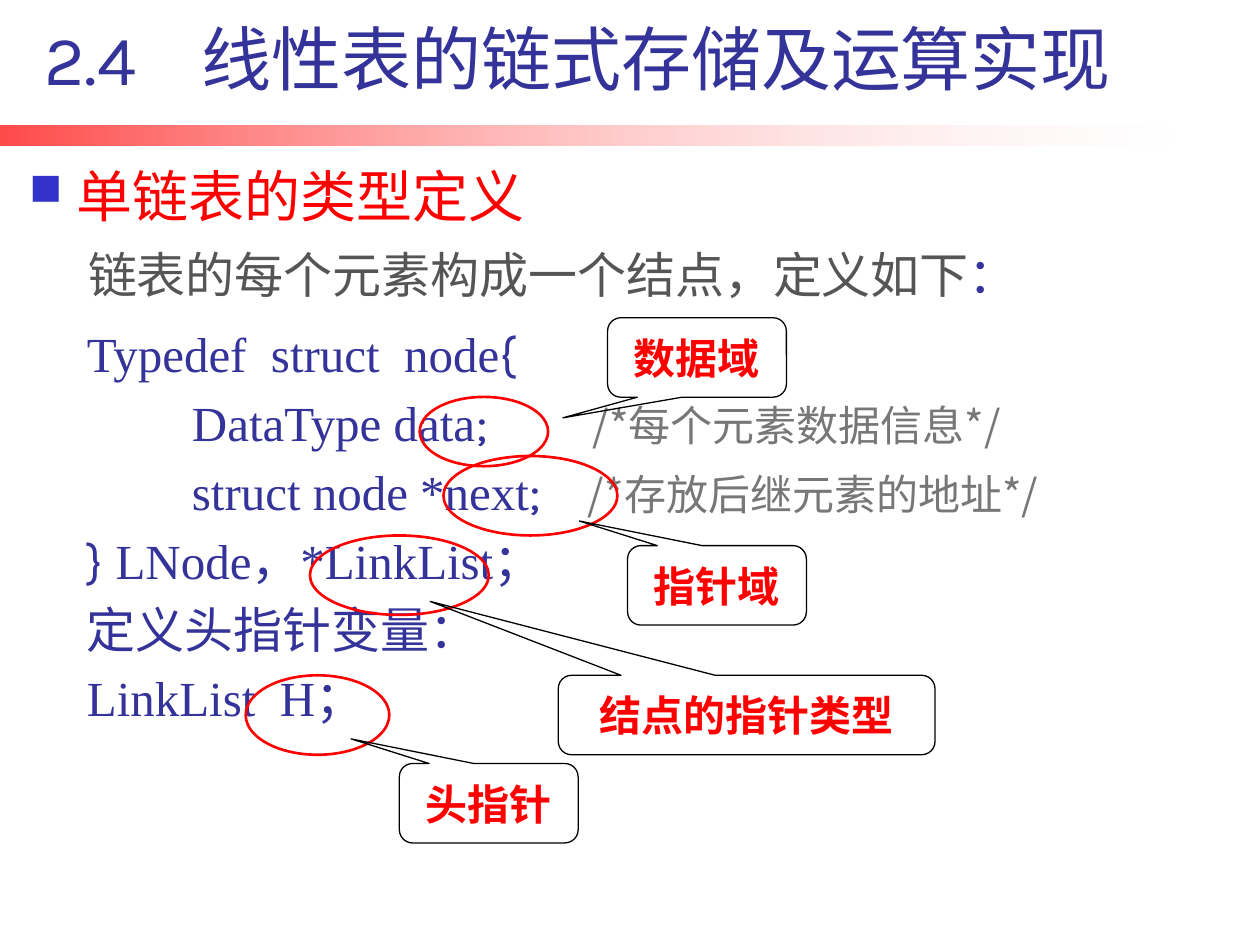
from pptx import Presentation
from pptx.dml.color import RGBColor as RGB
from pptx.enum.shapes import MSO_SHAPE as SHAPE
from pptx.enum.text import MSO_ANCHOR as ANCHOR, MSO_AUTO_SIZE as AUTO, PP_ALIGN as ALIGN
from pptx.oxml.ns import qn
from pptx.util import Pt
from lxml.etree import SubElement

THEME = dict(
    navy="333399", red="FF0000", bullet="3333CC", dark="555555", gray="777777",
    black="000000", white="FFFFFF",
    heading=40, topic=32, body=28, note=24,
    sans="Karla", serif="Times New Roman", cjk="Noto Sans CJK SC",
)


def add_run(p, text, font, size, color, bold=False):
    r = p.add_run()
    r.text = text
    values = dict(name=THEME[font], size=Pt(THEME[size]), bold=bold)
    for key, value in values.items():
        setattr(r.font, key, value)
    r.font.color.rgb = RGB.from_string(THEME[color])
    SubElement(r.font._element, qn("a:ea"), typeface=THEME["cjk"])
    return r


def format_paragraph(p, margin, hanging=0, bullet=None):
    pPr = p._p.get_or_add_pPr()
    pPr.set("marL", str(Pt(margin)))
    pPr.set("indent", str(-Pt(hanging)))
    if bullet:
        color = SubElement(pPr, qn("a:buClr"))
        SubElement(color, qn("a:srgbClr"), val=THEME["bullet"])
        SubElement(pPr, qn("a:buSzPct"), val="80000")
        SubElement(pPr, qn("a:buFont"), typeface="Wingdings", charset="2")
        SubElement(pPr, qn("a:buChar"), char=bullet)
    else:
        SubElement(pPr, qn("a:buNone"))


prs = Presentation()
prs.slide_width, prs.slide_height = Pt(720), Pt(540)
s = prs.slides.add_slide(prs.slide_layouts[1])

# Gradient bar
bar = s.shapes.add_shape(SHAPE.RECTANGLE, Pt(0), Pt(71.5), Pt(669), Pt(11.5))
bar.shadow.inherit = False
bar.line.fill.background()
bar.fill.gradient()
bar.fill.gradient_angle = 0
for stop, position, color in zip(bar.fill.gradient_stops, (0, 1), ("red", "white")):
    stop.position = position
    stop.color.rgb = RGB.from_string(THEME[color])
for clr, alpha in zip(bar._element.spPr.iter(qn("a:srgbClr")), (71, 18)):
    SubElement(clr, qn("a:alpha"), val=str(alpha * 1000))

# Section heading, with a tab stop after the number
sp = s.shapes.add_textbox(Pt(18.2), Pt(22.4), Pt(640), Pt(38.2))
tf = sp.text_frame
tf.word_wrap, tf.vertical_anchor = True, ANCHOR.BOTTOM
p = tf.paragraphs[0]
tab_list = SubElement(p._p.get_or_add_pPr(), qn("a:tabLst"))
SubElement(tab_list, qn("a:tab"), pos=str(Pt(90)), algn="l")
add_run(p, "2.4\t线性表的链式存储及运算实现", "sans", "heading", "navy")

# Topic title
sp = s.shapes.title
sp.left, sp.top, sp.width, sp.height = Pt(9.4), Pt(88.6), Pt(300.2), Pt(51.8)
tf = sp.text_frame
for key, value in dict(word_wrap=False, auto_size=AUTO.NONE, vertical_anchor=ANCHOR.TOP).items():
    setattr(tf, key, value)
p = tf.paragraphs[0]
p.alignment, p.space_before = ALIGN.LEFT, Pt(4.6)
format_paragraph(p, 27, hanging=27, bullet="n")
add_run(p, "单链表的类型定义", "cjk", "topic", "red")

# Lead sentence
sp = s.shapes.add_textbox(Pt(43.2), Pt(136.1), Pt(580), Pt(41))
sp.text_frame.word_wrap = True
p = sp.text_frame.paragraphs[0]
add_run(p, "链表的每个元素构成一个结点，定义如下", "cjk", "body", "dark")
add_run(p, "：", "sans", "body", "navy")

# Type definition: margin, runs of (text, font), gap before the comment, comment
CODE = [
    (0, [("Typedef  struct  node", "serif"), ("{", "sans")], 0, ""),
    (60, [("DataType data", "serif"), (";", "sans")], 53.3, "/*每个元素数据信息*/"),
    (60, [("struct node *next", "serif"), (";", "sans")], 19.8, "/*存放后继元素的地址*/"),
    (0, [("} ", "sans"), ("LNode，*LinkList", "serif"), ("；", "sans")], 0, ""),
    (0, [("定义头指针变量", "cjk"), ("：", "sans")], 0, ""),
    (0, [("LinkList  H", "serif"), ("；", "sans")], 0, ""),
]
sp = s.placeholders[1]
sp.left, sp.top, sp.width, sp.height = Pt(42.5), Pt(181.4), Pt(632), Pt(347.8)
tf = sp.text_frame
tf.auto_size, tf.vertical_anchor = AUTO.NONE, ANCHOR.TOP
for i, (margin, runs, gap, comment) in enumerate(CODE):
    p = tf.paragraphs[0] if i == 0 else tf.add_paragraph()
    p.line_spacing, p.space_before = Pt(33.7), Pt(5.6)
    format_paragraph(p, margin)
    for text, font in runs:
        add_run(p, text, font, "body", "navy")
    if comment:
        space = add_run(p, " ", "sans", "body", "navy")
        space.font._element.set("spc", str(round(gap * 100)))
        add_run(p, comment, "cjk", "note", "gray")

# Ellipses around the key identifiers
for left, top, width, height in [
    (239.8, 226.8, 73.4, 39.6),
    (253.4, 260.6, 99.4, 45.4),
    (140.4, 385.9, 82.1, 45.4),
    (177.1, 306, 102.2, 45.4),
]:
    sp = s.shapes.add_shape(SHAPE.OVAL, Pt(left), Pt(top), Pt(width), Pt(height))
    sp.shadow.inherit = False
    sp.fill.background()
    sp.line.color.rgb = RGB.from_string(THEME["red"])
    sp.line.width = Pt(1.5)

# Callouts: text, left, top, width, pointer x, pointer y
for text, left, top, width, tip_x, tip_y in [
    ("数据域", 347.2, 181.6, 102.2, -0.75, 0.76),
    ("指针域", 358.6, 311.8, 102.2, -0.77, -0.81),
    ("头指针", 228.2, 436.3, 102.2, -0.77, -0.81),
    ("结点的指针类型", 319, 385.9, 215.3, -0.84, -1.43),
]:
    sp = s.shapes.add_shape(SHAPE.ROUNDED_RECTANGULAR_CALLOUT, Pt(left), Pt(top), Pt(width), Pt(45.4))
    sp.shadow.inherit = False
    sp.adjustments[0], sp.adjustments[1] = tip_x, tip_y
    sp.fill.background()
    sp.line.color.rgb = RGB.from_string(THEME["black"])
    sp.line.width = Pt(0.75)
    tf = sp.text_frame
    tf.word_wrap, tf.vertical_anchor = True, ANCHOR.MIDDLE
    p = tf.paragraphs[0]
    p.alignment = ALIGN.CENTER
    add_run(p, text, "cjk", "note", "red", bold=True)

prs.save("out.pptx")
